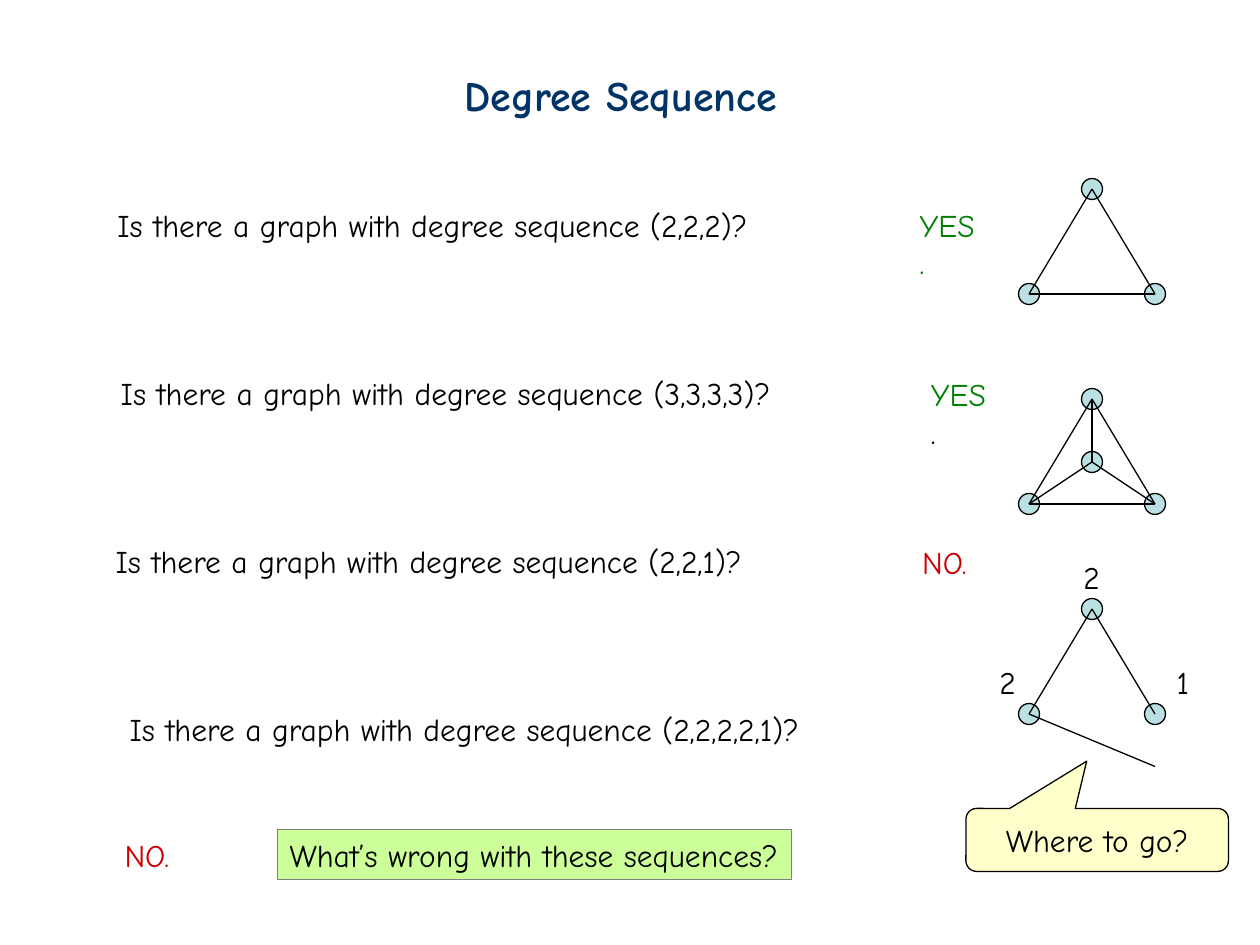
from lxml import etree
from pptx import Presentation, util as u
from pptx.dml.color import RGBColor
from pptx.enum import shapes, text
from pptx.oxml.ns import qn

FONT = "Comic Neue"
BLACK, NAVY, GREEN, RED = "000000", "003366", "008000", "CC0000"
COLS, ROWS = 60, 45
LINE_H = 2.4  # rows taken by one line of body text
NODE = 1      # node diameter in grid cells

prs = Presentation()
prs.slide_width, prs.slide_height = u.Inches(10), u.Inches(7.5)


def x(col):
    return round(prs.slide_width * col / COLS)


def y(row):
    return round(prs.slide_height * row / ROWS)


def rgb(value):
    return RGBColor.from_string(value)


def write(sp, *runs, size=18, bold=False, align=text.PP_ALIGN.LEFT,
          anchor=text.MSO_ANCHOR.TOP, grow=True):
    """Fill a shape with one paragraph made of (words, colour) runs."""
    tf = sp.text_frame
    tf.word_wrap = not grow
    tf.auto_size = (text.MSO_AUTO_SIZE.SHAPE_TO_FIT_TEXT if grow
                    else text.MSO_AUTO_SIZE.NONE)
    tf.vertical_anchor = anchor
    p = tf.paragraphs[0]
    p.alignment = align
    for words, color in runs:
        r = p.add_run()
        r.text = words
        r.font.name, r.font.size, r.font.bold = FONT, u.Pt(size), bold
        r.font.color.rgb = rgb(color)


def add_text(s, col, row, width, *runs, height=LINE_H, **fmt):
    sp = s.shapes.add_textbox(x(col), y(row), x(width), y(height))
    write(sp, *runs, **fmt)


def add_shape(s, kind, col, row, width, height, fill, line=BLACK):
    sp = s.shapes.add_shape(kind, x(col), y(row), x(width), y(height))
    sp.shadow.inherit = False
    sp.fill.solid()
    sp.fill.fore_color.rgb = rgb(fill)
    sp.line.color.rgb = rgb(line)
    sp.line.width = u.Pt(0.75)
    return sp


def add_edge(s, start, end):
    c = s.shapes.add_connector(shapes.MSO_CONNECTOR.STRAIGHT,
                               x(start[0]), y(start[1]), x(end[0]), y(end[1]))
    c.line.color.rgb = rgb(BLACK)
    c.line.width = u.Pt(0.75)
    etree.SubElement(c._element.spPr, qn("a:effectLst"))


def add_graph(s, top, nodes, edges):
    """Draw the named nodes, then edges between points, from row top down."""
    points = {"top": (52, top), "right": (55, top + 5), "left": (49, top + 5),
              "middle": (52, top + 3), "loose": (55, top + 7.5)}
    for name in nodes:
        col, row = points[name]
        add_shape(s, shapes.MSO_SHAPE.OVAL, col - NODE / 2, row - NODE / 2,
                  NODE, NODE, "BBE0E3")
    for start, end in edges:
        add_edge(s, points[start], points[end])


def main():
    s = prs.slides.add_slide(prs.slide_layouts[6])

    # Title
    add_text(s, 21.54, 3, 16.14, ("Degree Sequence", NAVY),
             height=3, size=24, bold=True)

    # Questions, one every eight rows
    questions = [("2,2,2", 5, 31.3), ("3,3,3,3", 5.16, 32.2),
                 ("2,2,1", 4.92, 31.1), ("2,2,2,2,1", 5.58, 33.2)]
    for i, (degrees, col, width) in enumerate(questions):
        words = f"Is there a graph with degree sequence ({degrees})?"
        add_text(s, col, 9.5 + 8 * i, width, (words, BLACK))

    # Answers
    add_text(s, 43.2, 9.5, 4, ("YES.", GREEN))
    add_text(s, 43.74, 17.58, 4, ("YES", GREEN), (".", BLACK))
    add_text(s, 43.32, 25.56, 3.36, ("NO.", RED))
    add_text(s, 5.34, 39.5, 3.36, ("NO.", RED))

    # Graphs, one every ten rows
    corners = ["top", "right", "left"]
    path = [("left", "top"), ("top", "right")]
    triangle = path + [("left", "right")]
    spokes = [("middle", corner) for corner in corners]
    add_graph(s, 9, corners, triangle)
    add_graph(s, 19, corners + ["middle"], triangle + spokes)
    add_graph(s, 29, corners, path + [("left", "loose")])

    # Degree labels of the last graph
    for degree, col, row in [("2", 51, 26.3), ("1", 55.44, 31.26),
                             ("2", 47, 31.26)]:
        add_text(s, col, row, 2 if degree == "2" else 1.8, (degree, BLACK))

    # Callout at the loose edge
    sp = add_shape(s, shapes.MSO_SHAPE.ROUNDED_RECTANGULAR_CALLOUT,
                   46, 38.5, 12.5, 3, "FFFFCC")
    for i, value in enumerate([-0.04, -1.25, 0.17]):
        sp.adjustments[i] = value
    write(sp, ("Where to go?", BLACK), align=text.PP_ALIGN.CENTER,
          anchor=text.MSO_ANCHOR.MIDDLE, grow=False)

    # Closing question
    sp = add_shape(s, shapes.MSO_SHAPE.RECTANGLE, 13.2, 39.5, 24.5, LINE_H,
                   "CCFF99", line="808080")
    write(sp, ("What’s wrong with these sequences?", BLACK))

    prs.save("out.pptx")


if __name__ == "__main__":
    main()
